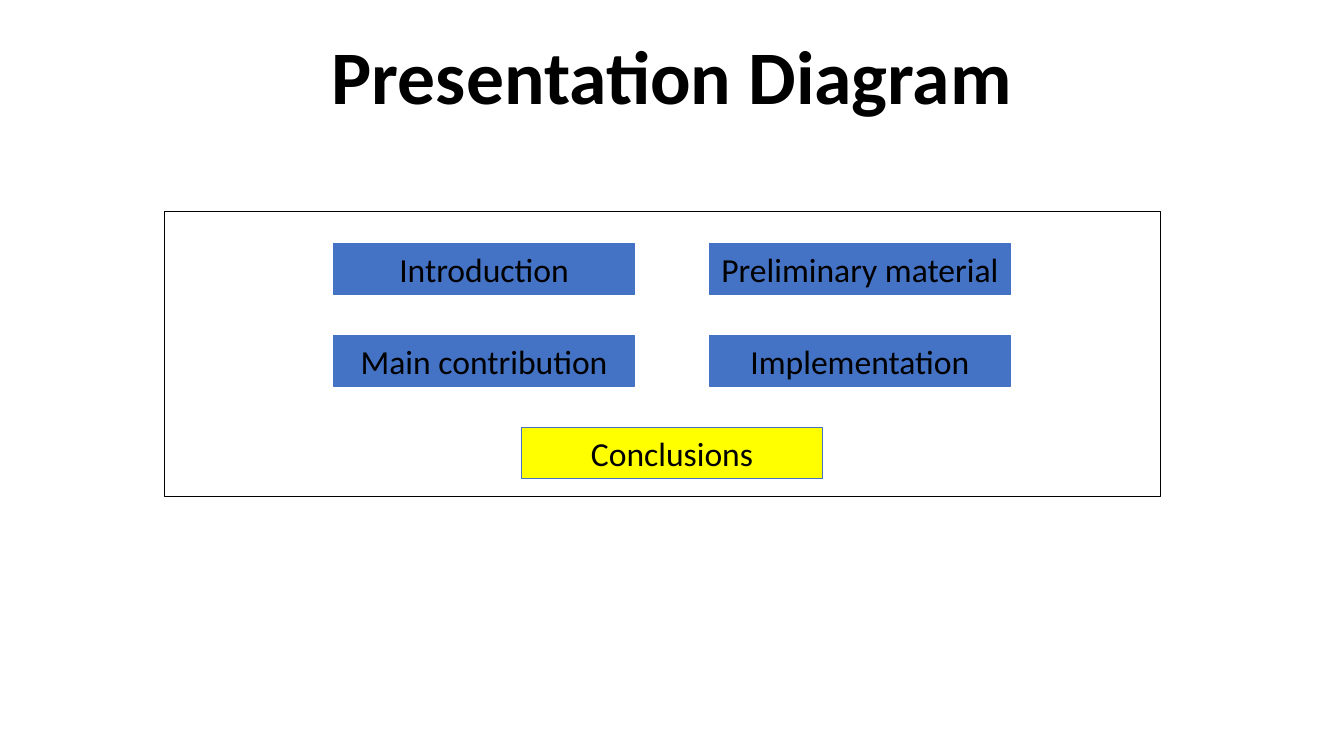
from pptx import Presentation
from pptx.dml.color import RGBColor
from pptx.enum.shapes import MSO_SHAPE
from pptx.enum.text import MSO_ANCHOR, MSO_AUTO_SIZE, PP_ALIGN
from pptx.util import Pt

TITLE = "Presentation Diagram"
BLUE, YELLOW, BLACK = "4472C4", "FFFF00", "000000"
ROWS = [
    (BLUE, ["Introduction", "Preliminary material"]),
    (BLUE, ["Main contribution", "Implementation"]),
    (YELLOW, ["Conclusions"]),
]
WIDE, HIGH = 960, 540
BOX_W, BOX_H = 214.6, 36.35
STEP_X, STEP_Y = 268.5, 65.7
TOP = 174


def color(code):
    return RGBColor.from_string(code)


def write(shape, text, size, bold=False):
    frame = shape.text_frame
    frame.word_wrap = True
    frame.text = text
    line = frame.paragraphs[0]
    line.alignment = PP_ALIGN.CENTER
    font = line.runs[0].font
    font.name, font.size, font.bold = "Calibri", Pt(size), bold
    font.color.rgb = color(BLACK)
    return frame


def add_rect(slide, left, top, width, height, edge, fill=None):
    rect = slide.shapes.add_shape(
        MSO_SHAPE.RECTANGLE, Pt(left), Pt(top), Pt(width), Pt(height))
    rect.shadow.inherit = False
    rect.line.color.rgb = color(edge)
    rect.line.width = Pt(0.75)
    if fill:
        rect.fill.solid()
        rect.fill.fore_color.rgb = color(fill)
    else:
        rect.fill.background()
    return rect


def main():
    deck = Presentation()
    deck.slide_width, deck.slide_height = Pt(WIDE), Pt(HIGH)
    slide = deck.slides.add_slide(deck.slide_layouts[6])

    title = slide.shapes.add_textbox(Pt(120), Pt(28.8), Pt(720), Pt(61.2))
    frame = write(title, TITLE, 54, True)
    frame.vertical_anchor = MSO_ANCHOR.BOTTOM
    frame.paragraphs[0].line_spacing = 0.9

    add_rect(slide, 117.4, 151.2, 711.4, 203.8, BLACK)

    for row, (fill, names) in enumerate(ROWS):
        start = (WIDE - BOX_W - STEP_X * (len(names) - 1)) / 2
        for col, name in enumerate(names):
            box = add_rect(slide, start + col * STEP_X, TOP + row * STEP_Y,
                           BOX_W, BOX_H, BLUE, fill)
            frame = write(box, name, 24)
            frame.vertical_anchor = MSO_ANCHOR.TOP
            frame.auto_size = MSO_AUTO_SIZE.SHAPE_TO_FIT_TEXT

    deck.save("out.pptx")


if __name__ == "__main__":
    main()
